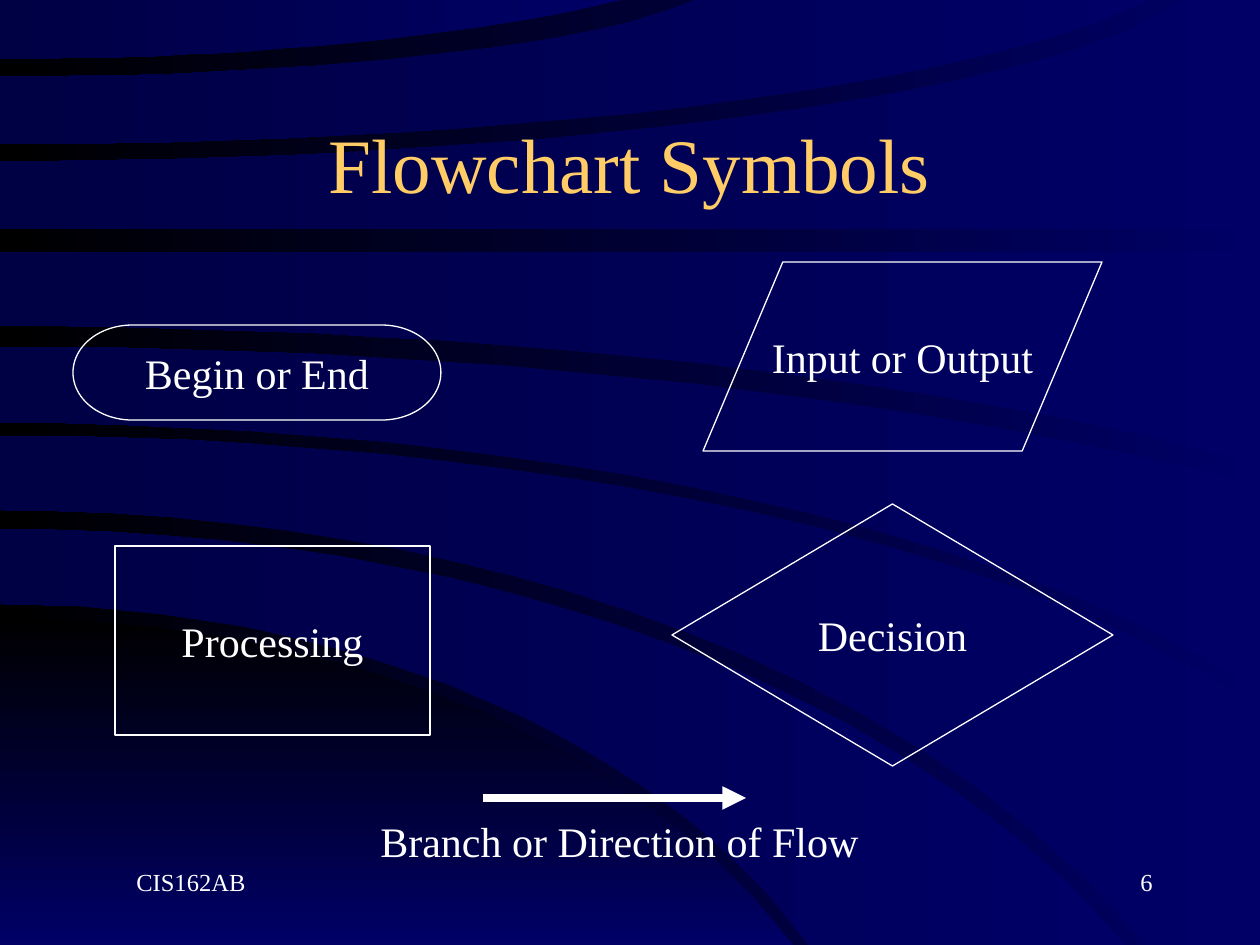
import math

import pptx
import pptx.util
from pptx.dml.color import RGBColor
from pptx.enum.shapes import MSO_CONNECTOR, MSO_SHAPE
from pptx.enum.text import MSO_ANCHOR, MSO_AUTO_SIZE, PP_ALIGN
from pptx.oxml import parse_xml
from pptx.oxml.ns import nsdecls

PX = pptx.util.Inches(1) / 126
WIDTH, HEIGHT = 1260, 945
TOP = -2
FONT = "Times New Roman"

NAVY = RGBColor(0x00, 0x00, 0x66)
DEEP_NAVY = RGBColor(0x00, 0x00, 0x44)
BLACK = RGBColor(0x00, 0x00, 0x00)
WHITE = RGBColor(0xFF, 0xFF, 0xFF)
GOLD = RGBColor(0xFF, 0xCC, 0x66)

# Content: (symbol, label, left, top, width, height)
TITLE = "Flowchart Symbols"
SYMBOLS = [
    (MSO_SHAPE.FLOWCHART_TERMINATOR, "Begin or End", 73, 325, 368, 95),
    (MSO_SHAPE.FLOWCHART_DATA, "Input or Output", 703, 262, 399, 189),
    (MSO_SHAPE.FLOWCHART_PROCESS, "Processing", 115, 546, 315, 189),
    (MSO_SHAPE.FLOWCHART_DECISION, "Decision", 672, 504, 441, 262),
]
FLOW_ARROW = (483, 798, 746, 798)
FLOW_CAPTION = "Branch or Direction of Flow"
FOOTERS = [
    ("6", 903, PP_ALIGN.RIGHT),
    ("CIS162AB", 94, PP_ALIGN.LEFT),
]

# Backdrop: upper and lower edge of each band, as elliptical arcs
# (y at the left side, end x, end y, horizontal radius)
CORNER = ((619, 793, HEIGHT, 880), (HEIGHT, 793, HEIGHT, 880))
BANDS = [
    ((529, 1125, HEIGHT, 1250), (604, 809, HEIGHT, 900)),
    ((436, WIDTH, 708, 1420), (510, 1145, HEIGHT, 1270)),
    ((347, WIDTH, 485, 1800), (423, WIDTH, 690, 1450)),
    ((252, WIDTH, 252, 1700), (326, WIDTH, 464, 1700)),
    ((161, 1188, TOP, 1220), (229, WIDTH, 229, 1700)),
    ((77, 701, TOP, 740), (144, 1155, TOP, 1220)),
    ((TOP, 631, TOP, 850), (59, 631, TOP, 850)),
]
ARC_STEPS = 20


def px(*lengths):
    return [round(length * PX) for length in lengths]


def arc_points(start_y, end_x, end_y, radius):
    def drop(x):
        return 1 - math.sqrt(1 - (x / radius) ** 2)

    xs = [end_x * step / ARC_STEPS for step in range(ARC_STEPS + 1)]
    return [(x, start_y + (end_y - start_y) * drop(x) / drop(end_x)) for x in xs]


def set_gradient(fill, first, last, angle):
    fill.gradient()
    fill.gradient_angle = angle
    for stop, colour in zip(fill.gradient_stops, (first, last)):
        stop.color.rgb = colour


def add_band(slide, edges, first, last, angle):
    upper, lower = [arc_points(*edge) for edge in edges]
    # A band that leaves by two sides also takes in the slide corner
    ends = {upper[-1][0], lower[-1][0]}
    corner = []
    if WIDTH in ends and len(ends) == 2:
        corner = [(WIDTH, TOP if upper[-1][0] < WIDTH else HEIGHT)]
    builder = slide.shapes.build_freeform(*upper[0], scale=PX)
    builder.add_line_segments(upper[1:] + corner + lower[::-1], close=True)
    band = builder.convert_to_shape()
    band.shadow.inherit = False
    band.line.fill.background()
    set_gradient(band.fill, first, last, angle)


def set_text(shape, text, size, align, anchor, wrap, colour=WHITE):
    frame = shape.text_frame
    frame.text = text
    frame.word_wrap = wrap
    frame.vertical_anchor = anchor
    paragraph = frame.paragraphs[0]
    paragraph.alignment = align
    paragraph.font.name = FONT
    paragraph.font.size = pptx.util.Pt(size)
    paragraph.font.color.rgb = colour
    return paragraph


def main():
    deck = pptx.Presentation()
    deck.slide_width, deck.slide_height = px(WIDTH, HEIGHT)
    slide = deck.slides.add_slide(deck.slide_layouts[5])
    shapes = slide.shapes

    # Backdrop
    set_gradient(slide.background.fill, NAVY, BLACK, 180)
    add_band(slide, CORNER, BLACK, NAVY, 270)
    for edges in BANDS:
        add_band(slide, edges, NAVY, DEEP_NAVY, 180)

    # Title, brought in front of the backdrop
    title = shapes.title
    title.element.getparent().append(title.element)
    title.left, title.top, title.width, title.height = px(94, 84, 1071, 158)
    set_text(title, TITLE, 44, PP_ALIGN.CENTER, MSO_ANCHOR.MIDDLE, True, GOLD)

    # Flowchart symbols
    for kind, label, *box in SYMBOLS:
        symbol = shapes.add_shape(kind, *px(*box))
        symbol.shadow.inherit = False
        symbol.fill.background()
        symbol.line.color.rgb = WHITE
        symbol.line.width = pptx.util.Pt(0.75)
        set_text(symbol, label, 24, PP_ALIGN.CENTER, MSO_ANCHOR.MIDDLE, False)

    # Flow arrow and its caption
    arrow = shapes.add_connector(MSO_CONNECTOR.STRAIGHT, *px(*FLOW_ARROW))
    arrow.line.color.rgb = WHITE
    arrow.line.width = pptx.util.Pt(4.5)
    properties = arrow.element.spPr
    properties.ln.append(parse_xml(f'<a:tailEnd {nsdecls("a")} type="triangle"/>'))
    properties.append(parse_xml(f'<a:effectLst {nsdecls("a")}/>'))
    caption = shapes.add_textbox(*px(368, 809, 503, 63))
    set_text(caption, FLOW_CAPTION, 24, PP_ALIGN.LEFT, MSO_ANCHOR.TOP, False)
    caption.text_frame.auto_size = MSO_AUTO_SIZE.SHAPE_TO_FIT_TEXT

    # Page number and course code
    for text, left, align in FOOTERS:
        footer = shapes.add_textbox(*px(left, 861, 262, 63))
        paragraph = set_text(footer, text, 14, align, MSO_ANCHOR.TOP, True)
        paragraph._p.get_or_add_pPr().set("marL", str(px(30)[0]))

    deck.save("out.pptx")


if __name__ == "__main__":
    main()
